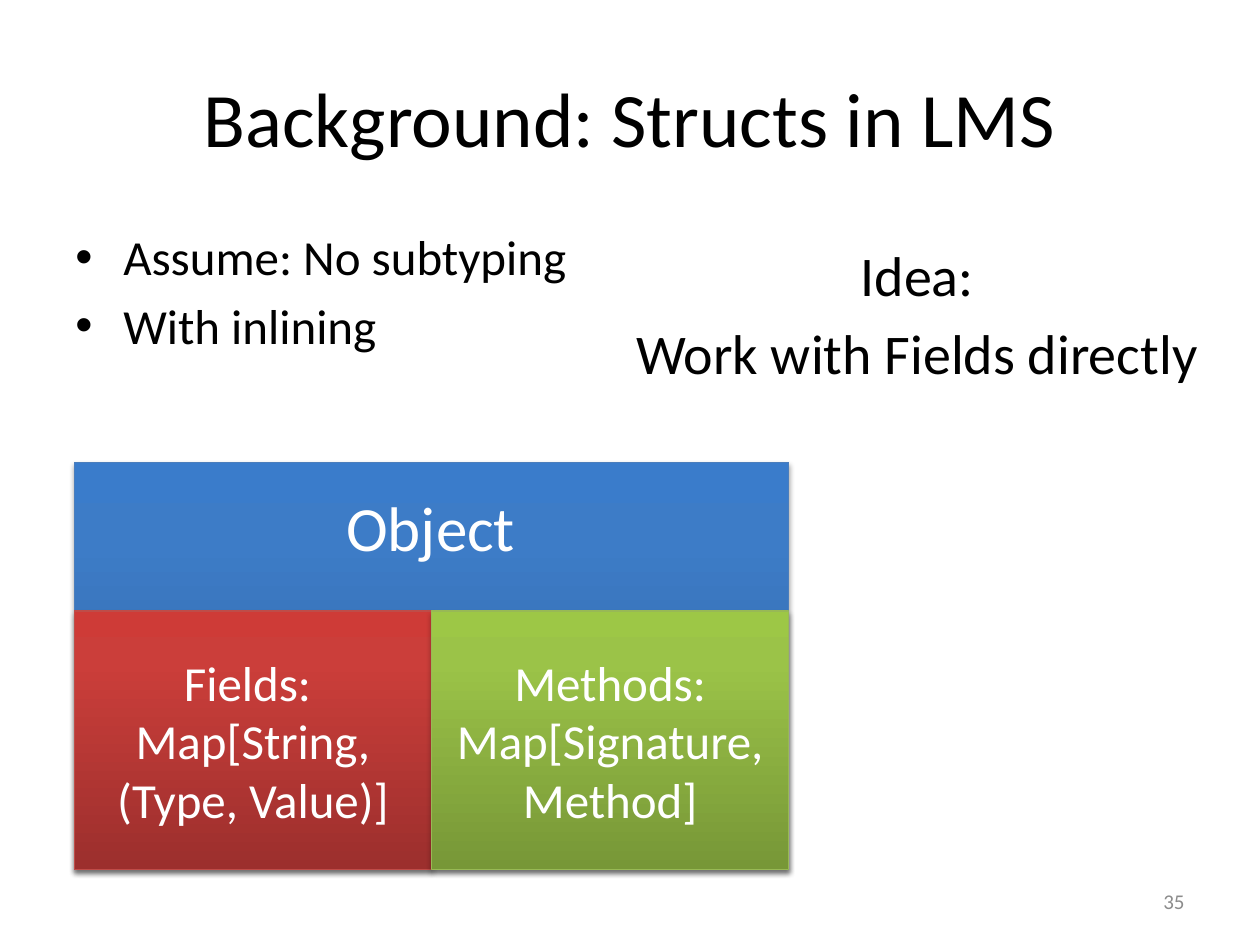
"""Build the slide on structs in LMS."""
from copy import deepcopy

from lxml import etree
from pptx import Presentation
from pptx import oxml
from pptx import util as u
from pptx.dml.color import RGBColor
from pptx.enum import shapes, text

BLACK = RGBColor(0x00, 0x00, 0x00)
WHITE = RGBColor(0xFF, 0xFF, 0xFF)
GRAY = RGBColor(0x8C, 0x8C, 0x8C)
BLUE = [RGBColor.from_string(c) for c in ("2F5F99", "3D7CC7", "3A7CCB", "4B7EBC")]
RED = [RGBColor.from_string(c) for c in ("9C2F2D", "CB3E3A", "CE3B37", "BF4C48")]
GREEN = [RGBColor.from_string(c) for c in ("779737", "9BC348", "9DC746", "98B955")]
STOPS = (0, 0.8, 1)

FONT = "Calibri"
LEFT, CENTER, RIGHT = text.PP_ALIGN.LEFT, text.PP_ALIGN.CENTER, text.PP_ALIGN.RIGHT
TOP, MIDDLE = text.MSO_ANCHOR.TOP, text.MSO_ANCHOR.MIDDLE

TITLE = ["Background: Structs in LMS"]
ASSUMPTIONS = ["Assume: No subtyping", "With inlining"]
IDEA = ["Idea:", "Work with Fields directly"]
PAGE = ["35"]
OBJECT = ["Object"]
PARTS = [
    (["Fields: ", "Map[String, (Type, Value)]"], RED),
    (["Methods:", "Map[Signature, Method]"], GREEN),
]

OBJECT_LEFT, OBJECT_TOP, OBJECT_WIDTH, OBJECT_HEIGHT = 0.59, 3.67, 5.67, 3.23
PART_TOP = 4.85

SHADOW = (
    '<a:outerShdw xmlns:a="http://schemas.openxmlformats.org/drawingml/2006/main" '
    'blurRad="39370" dist="22860" dir="5400000" rotWithShape="0">'
    '<a:srgbClr val="000000"><a:alpha val="35000"/></a:srgbClr></a:outerShdw>'
)


def write(frame, lines, size, color, align, anchor, spacing=0):
    frame.text = "\n".join(lines)
    frame.vertical_anchor = anchor
    for paragraph in frame.paragraphs:
        paragraph.alignment = align
        paragraph.space_before = u.Pt(size * spacing)
        for run in paragraph.runs:
            run.font.size = u.Pt(size)
            run.font.name = FONT
            run.font.color.rgb = color


def add_text(slide, box, lines, size, color=BLACK, align=LEFT, anchor=TOP,
             spacing=0, wrap=True):
    frame = slide.shapes.add_textbox(*map(u.Inches, box)).text_frame
    frame.word_wrap = wrap
    write(frame, lines, size, color, align, anchor, spacing)
    return frame


def add_bullets(frame):
    indent = u.Inches(0.38)
    for paragraph in frame.paragraphs:
        properties = paragraph._p.get_or_add_pPr()
        properties.set("marL", str(indent))
        properties.set("indent", str(-indent))
        font = etree.SubElement(properties, oxml.ns.qn("a:buFont"))
        font.set("typeface", "Arial")
        etree.SubElement(properties, oxml.ns.qn("a:buChar")).set("char", "•")


def add_block(slide, box, palette):
    block = slide.shapes.add_shape(shapes.MSO_SHAPE.RECTANGLE, *map(u.Inches, box))
    block.fill.gradient()
    block.fill.gradient_angle = 90
    stop_list = block.fill._fill._gradFill.gsLst
    stop_list.append(deepcopy(stop_list[-1]))
    for stop, position, color in zip(block.fill.gradient_stops, STOPS, palette):
        stop.position = position
        stop.color.rgb = color
    block.line.color.rgb = palette[-1]
    block.line.width = u.Pt(0.75)
    block.shadow.inherit = False
    effects = block._element.spPr.find(oxml.ns.qn("a:effectLst"))
    effects.append(oxml.parse_xml(SHADOW))
    return block


def main():
    deck = Presentation()
    deck.slide_width, deck.slide_height = u.Inches(10), u.Inches(7.5)
    slide = deck.slides.add_slide(deck.slide_layouts[6])

    add_text(slide, (0.5, 0.3, 9, 1.25), TITLE, 44, align=CENTER, anchor=MIDDLE)
    add_bullets(add_text(slide, (0.5, 1.75, 4.42, 4.95), ASSUMPTIONS, 28, spacing=0.2))
    add_text(slide, (4.92, 1.86, 4.72, 1.37), IDEA, 32, align=CENTER, spacing=0.2)
    add_text(slide, (7.17, 6.95, 2.33, 0.4), PAGE, 12, GRAY, RIGHT, MIDDLE)

    add_block(slide, (OBJECT_LEFT, OBJECT_TOP, OBJECT_WIDTH, OBJECT_HEIGHT), BLUE)
    add_text(slide, (2.65, 3.83, 1.56, 0.71), OBJECT, 36, WHITE, wrap=False)

    part_width = OBJECT_WIDTH / len(PARTS)
    part_height = OBJECT_TOP + OBJECT_HEIGHT - PART_TOP
    for index, (lines, palette) in enumerate(PARTS):
        left = OBJECT_LEFT + index * part_width
        part = add_block(slide, (left, PART_TOP, part_width, part_height), palette)
        write(part.text_frame, lines, 28, WHITE, CENTER, MIDDLE)

    deck.save("out.pptx")


if __name__ == "__main__":
    main()
